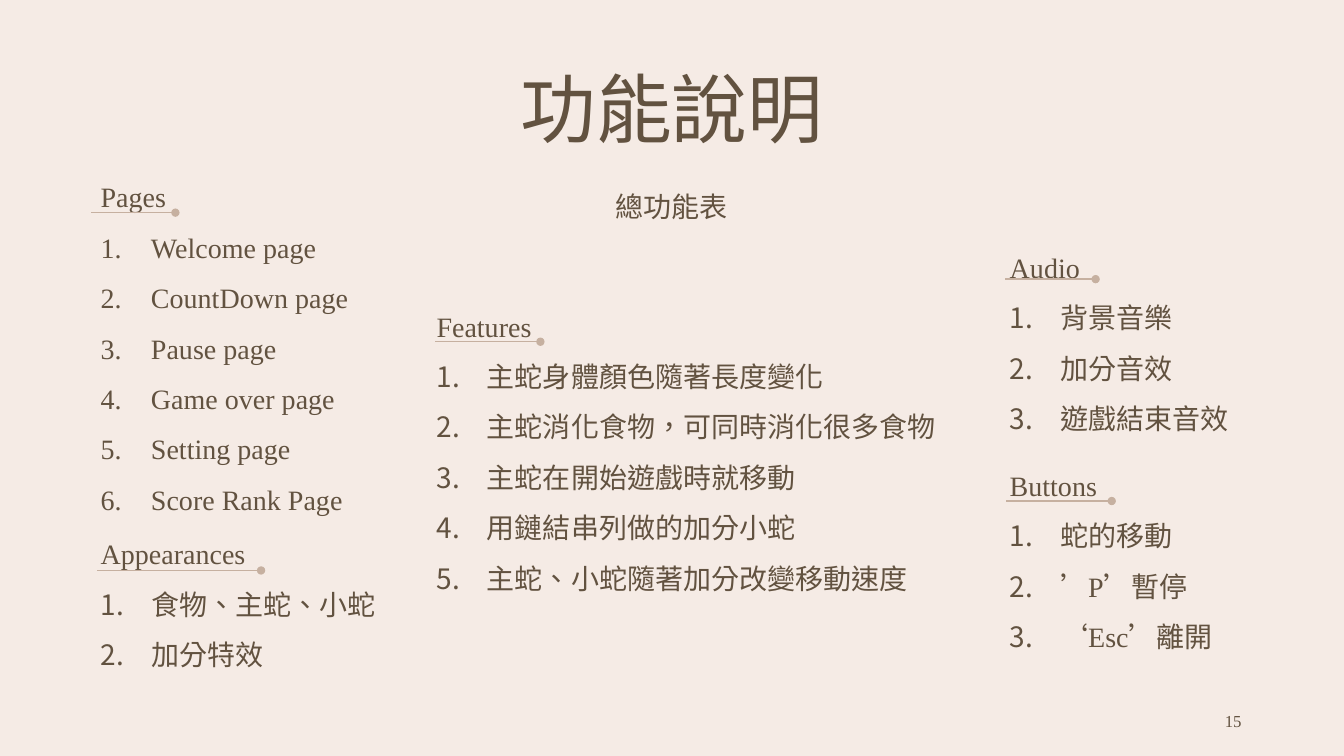
from lxml.etree import SubElement
from pptx import Presentation
from pptx.dml.color import RGBColor
from pptx.enum.shapes import MSO_CONNECTOR
from pptx.enum.text import MSO_ANCHOR, MSO_AUTO_SIZE, PP_ALIGN
from pptx.oxml.ns import qn
from pptx.util import Pt

COLORS = {"ground": "F5EBE5", "text": "625240", "rule": "C6B0A0"}
LATIN, CJK = "Times New Roman", "Noto Sans CJK SC"
INDENT = 36
SECTIONS = [
    {"box": (64.8, 113, 206.6, 257), "rule": (0, 38.9, 60.5), "heading": "Pages",
     "bullet": LATIN,
     "items": ["Welcome page", "CountDown page", "Pause page", "Game over page",
               "Setting page", "Score Rank Page"]},
    {"box": (64.8, 367.9, 216.7, 112.3), "rule": (4.3, 39.6, 117.4),
     "heading": "Appearances", "bullet": CJK,
     "items": ["食物、主蛇、小蛇", "加分特效"]},
    {"box": (304.6, 205.2, 409.7, 329.8), "rule": (5.8, 38.9, 75.6),
     "heading": "Features", "bullet": CJK,
     "items": ["主蛇身體顏色隨著長度變化", "主蛇消化食物，可同時消化很多食物",
               "主蛇在開始遊戲時就移動", "用鏈結串列做的加分小蛇",
               "主蛇、小蛇隨著加分改變移動速度"]},
    {"box": (714.2, 163.4, 206.6, 257), "rule": (3.6, 36, 64.8), "heading": "Audio",
     "bullet": CJK, "items": ["背景音樂", "加分音效", "遊戲結束音效"]},
    {"box": (714.2, 319, 206.6, 221), "rule": (4.3, 38.9, 75.6),
     "heading": "Buttons", "bullet": CJK,
     "items": ["蛇的移動", "’P’暫停", "‘Esc’離開"]},
]


def apply(target, values):
    for name, value in values.items():
        setattr(target, name, value)


def place(shape, box):
    names = ("left", "top", "width", "height")
    apply(shape, {name: Pt(value) for name, value in zip(names, box)})


def frame_text(shape, anchor=MSO_ANCHOR.TOP, grow=True):
    frame = shape.text_frame
    fit = MSO_AUTO_SIZE.SHAPE_TO_FIT_TEXT if grow else MSO_AUTO_SIZE.NONE
    apply(frame, {"word_wrap": True, "auto_size": fit, "vertical_anchor": anchor,
                  "margin_left": Pt(7.2), "margin_right": Pt(7.2),
                  "margin_top": Pt(3.6), "margin_bottom": Pt(3.6)})
    return frame


def write(para, text, size=20, latin=LATIN, align=PP_ALIGN.LEFT, spacing=1.0):
    apply(para, {"alignment": align, "line_spacing": spacing,
                 "space_before": Pt(0), "space_after": Pt(0)})
    span = para.add_run()
    span.text = text
    apply(span.font, {"name": latin, "size": Pt(size), "bold": False})
    span.font.color.rgb = RGBColor.from_string(COLORS["text"])
    props = span.font._element
    props.set("lang", "en-US" if text.isascii() else "zh-TW")
    east = SubElement(props, qn("a:ea"))
    east.set("typeface", CJK)


def set_bullet(para, font=None):
    props = para._p.get_or_add_pPr()
    indent = INDENT if font else 0
    props.set("marL", str(Pt(indent)))
    props.set("indent", str(Pt(-indent)))
    if font:
        SubElement(props, qn("a:buFont")).set("typeface", font)
        SubElement(props, qn("a:buAutoNum")).set("type", "arabicPeriod")
    else:
        SubElement(props, qn("a:buNone"))


def add_label(page, box, text, anchor=MSO_ANCHOR.TOP, grow=True, **style):
    shape = page.shapes.add_textbox(0, 0, 0, 0)
    place(shape, box)
    write(frame_text(shape, anchor, grow).paragraphs[0], text, **style)


def add_title(page, box, text):
    title = page.shapes.title
    place(title, box)
    frame = frame_text(title, MSO_ANCHOR.MIDDLE, grow=False)
    write(frame.paragraphs[0], text, size=54, latin=CJK,
          align=PP_ALIGN.CENTER, spacing=0.9)


def add_rule(page, box, rule):
    left, top, width = rule
    start, level = box[0] + left, box[1] + top
    line = page.shapes.add_connector(MSO_CONNECTOR.STRAIGHT, Pt(start + width),
                                     Pt(level), Pt(start), Pt(level))
    line.line.width = Pt(1)
    line.line.color.rgb = RGBColor.from_string(COLORS["rule"])
    SubElement(line.line._get_or_add_ln(), qn("a:headEnd")).set("type", "oval")
    SubElement(line._element.spPr, qn("a:effectLst"))


def add_section(page, shape, section):
    place(shape, section["box"])
    frame = frame_text(shape)
    heading = frame.paragraphs[0]
    set_bullet(heading)
    write(heading, section["heading"], spacing=1.5)
    for item in section["items"]:
        para = frame.add_paragraph()
        set_bullet(para, section["bullet"])
        write(para, item, spacing=1.5)
    add_rule(page, section["box"], section["rule"])


def build_features_page(deck):
    page = deck.slides.add_slide(deck.slide_layouts[1])
    fill = page.background.fill
    fill.solid()
    fill.fore_color.rgb = RGBColor.from_string(COLORS["ground"])
    add_title(page, (66, 28.8, 828, 104.4), "功能說明")
    add_label(page, (409, 131.8, 141.8, 31.7), "總功能表", latin=CJK,
              align=PP_ALIGN.CENTER)
    for section in SECTIONS:
        if section["heading"] == "Features":
            shape = page.placeholders[1]
        else:
            shape = page.shapes.add_textbox(0, 0, 0, 0)
        add_section(page, shape, section)
    add_label(page, (678, 500.4, 216, 28.8), "15", anchor=MSO_ANCHOR.MIDDLE,
              grow=False, size=12, align=PP_ALIGN.RIGHT)


def main():
    deck = Presentation()
    apply(deck, {"slide_width": Pt(960), "slide_height": Pt(540)})
    build_features_page(deck)
    deck.save("out.pptx")


if __name__ == "__main__":
    main()
